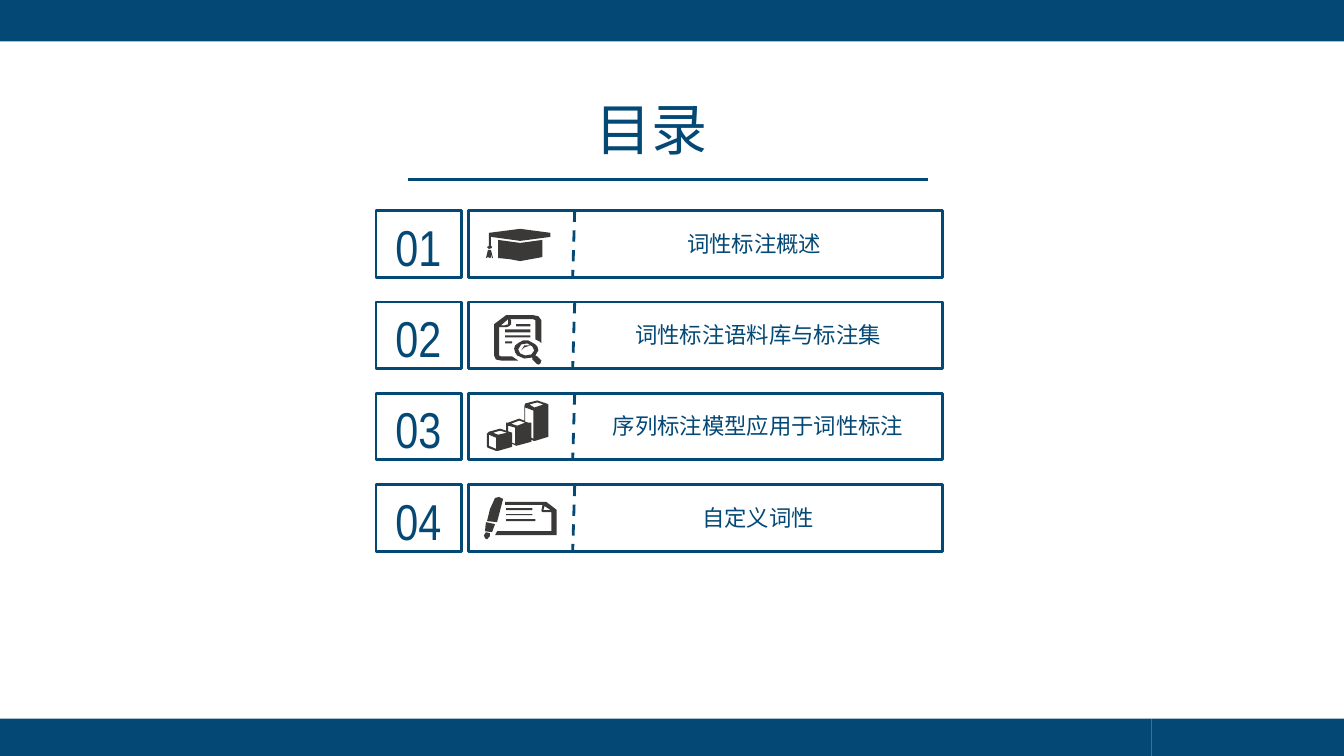
import dataclasses

import lxml.etree
import pptx
import pptx.dml.color
import pptx.enum.dml
import pptx.enum.shapes
import pptx.enum.text
import pptx.oxml.ns
import pptx.util

Inches = pptx.util.Inches
Pt = pptx.util.Pt


@dataclasses.dataclass
class Theme:
    navy: str = "044875"
    icon: str = "3B3838"
    title_size: int = 40
    number_size: int = 36
    label_size: int = 16
    line_width: int = 2
    title_font: str = "Calibri"
    number_font: str = "Arial Narrow"
    label_font: str = "Noto Sans CJK SC"


class Deck:
    """Draws styled elements on the current slide."""

    def __init__(self, prs, theme):
        self.theme = theme
        self.s = prs.slides.add_slide(prs.slide_layouts[6])

    def rgb(self, value):
        return pptx.dml.color.RGBColor.from_string(value)

    def rect(self, x, y, w, h, filled):
        sp = self.s.shapes.add_shape(
            pptx.enum.shapes.MSO_SHAPE.RECTANGLE, Inches(x), Inches(y), Inches(w), Inches(h))
        sp.shadow.inherit = False
        if filled:
            sp.fill.solid()
            sp.fill.fore_color.rgb = self.rgb(self.theme.navy)
            sp.line.fill.background()
        else:
            sp.fill.background()
            sp.line.color.rgb = self.rgb(self.theme.navy)
            sp.line.width = Pt(self.theme.line_width)

    def line(self, x1, y1, x2, y2, dashed=False):
        sp = self.s.shapes.add_connector(
            pptx.enum.shapes.MSO_CONNECTOR.STRAIGHT, Inches(x1), Inches(y1), Inches(x2), Inches(y2))
        sp.line.color.rgb = self.rgb(self.theme.navy)
        sp.line.width = Pt(self.theme.line_width)
        if dashed:
            sp.line.dash_style = pptx.enum.dml.MSO_LINE.DASH
        lxml.etree.SubElement(sp._element.spPr, pptx.oxml.ns.qn("a:effectLst"))

    def text(self, center, y, w, h, text, size, font):
        sp = self.s.shapes.add_textbox(Inches(center - w / 2), Inches(y), Inches(w), Inches(h))
        tf = sp.text_frame
        tf.word_wrap = True
        p = tf.paragraphs[0]
        p.text = text
        p.alignment = pptx.enum.text.PP_ALIGN.CENTER
        p.font.size = Pt(size)
        p.font.name = font
        p.font.color.rgb = self.rgb(self.theme.navy)
        ea = lxml.etree.SubElement(p.font._element, pptx.oxml.ns.qn("a:ea"))
        ea.set("typeface", self.theme.label_font)

    def icon(self, x, y, contours):
        builder = None
        for start, *rest in contours:
            if builder is None:
                builder = self.s.shapes.build_freeform(*start, scale=Inches(0.01))
            else:
                builder.move_to(*start)
            builder.add_line_segments(rest, close=True)
        sp = builder.convert_to_shape(Inches(x), Inches(y))
        sp.shadow.inherit = False
        sp.fill.solid()
        sp.fill.fore_color.rgb = self.rgb(self.theme.icon)
        sp.line.fill.background()


def box(left, top, right, bottom):
    return [(left, top), (right, top), (right, bottom), (left, bottom)]


CAP = [
    [(14, 47), (25, 48), (36, 50), (47, 48), (58, 46), (58, 29), (36, 32), (14, 29)],
    [(66, 22), (66, 26), (36, 30), (7, 26), (7, 35), (8, 36), (8, 37), (5, 38), (3, 36),
     (5, 35), (5, 22), (36, 18)],
    [(7, 39), (4, 39), (2, 47), (4, 46), (6, 47), (7, 46), (7, 43), (8, 47), (9, 47)],
]
SEARCH = [
    [(24, 13), (49, 13), (54, 14), (57, 18), (57, 41), (55, 39), (51, 37), (51, 18), (49, 17),
     (26, 17), (27, 18), (27, 22), (25, 24), (22, 25), (15, 25), (15, 53), (17, 54), (28, 54),
     (34, 58), (17, 58), (12, 57), (10, 53), (10, 22), (22, 13)],
    box(21, 39, 28, 41), box(21, 33, 46, 35), box(21, 27, 46, 30), box(32, 22, 46, 24),
    [(37, 48), (40, 45), (46, 43), (40, 43)],
    [(35, 40), (31, 43), (30, 46), (31, 50), (33, 53), (40, 56), (48, 55), (48, 57), (52, 61),
     (54, 62), (56, 61), (57, 58), (53, 54), (51, 53), (54, 48), (53, 44), (51, 42), (44, 38),
     (39, 38)],
    [(43, 41), (37, 42), (34, 47), (36, 51), (41, 53), (47, 52), (50, 48), (48, 44)],
    [(24, 17), (17, 23), (21, 23), (24, 22)],
]
BARS = [
    [(45, 11), (50, 14), (59, 11), (53, 9)],
    [(12, 44), (5, 41), (5, 52), (12, 55)],
    [(27, 30), (33, 32), (41, 29), (35, 27)],
    [(22, 29), (24, 29), (35, 25), (40, 27), (40, 13), (41, 10), (53, 7), (62, 10), (64, 11),
     (64, 43), (51, 47), (49, 47), (47, 46), (47, 48), (32, 52), (28, 50), (28, 53), (14, 57),
     (12, 57), (4, 54), (3, 53), (3, 40), (5, 38), (16, 35), (25, 38), (28, 39), (28, 49),
     (31, 50), (31, 34), (24, 32), (24, 38), (22, 37)],
    [(41, 28), (44, 29), (47, 29), (47, 44), (49, 45), (49, 17), (41, 14)],
    [(9, 39), (14, 41), (23, 39), (16, 37)],
]
PEN = [
    [(11, 13), (15, 12), (19, 14), (13, 37), (3, 36), (6, 24)],
    [(13, 46), (11, 50), (72, 50), (72, 25), (71, 24), (62, 17), (21, 17), (21, 20), (58, 20),
     (57, 26), (58, 27), (67, 27), (67, 46)],
    [(66, 25), (59, 25), (60, 21)],
    box(22, 34, 51, 36), box(22, 29, 48, 30), box(22, 23, 48, 25),
    [(2, 47), (6, 48), (6, 51), (3, 54), (1, 53), (0, 50)],
    [(2, 37), (1, 46), (8, 47), (11, 39)],
]
CHAPTERS = [
    ("词性标注概述", 7.48, CAP),
    ("词性标注语料库与标注集", 7.52, SEARCH),
    ("序列标注模型应用于词性标注", 7.52, BARS),
    ("自定义词性", 7.52, PEN),
]


def main():
    prs = pptx.Presentation()
    prs.slide_width, prs.slide_height = Inches(13.33), Inches(7.5)
    theme = Theme()
    deck = Deck(prs, theme)

    deck.rect(0, 0, 13.33, 0.41, True)
    deck.rect(11.42, 7.13, 1.91, 0.37, True)
    deck.rect(0, 7.13, 11.42, 0.37, True)
    deck.text(6.46, 0.89, 2.63, 0.77, "目录", theme.title_size, theme.title_font)
    deck.line(4.05, 1.78, 9.2, 1.78)

    for i, (label, center, icon) in enumerate(CHAPTERS):
        top = 2.09 + i * 2.72 / 3
        deck.rect(4.65, top, 4.7, 0.66, False)
        deck.line(5.7, top, 5.68, top + 0.66, dashed=True)
        deck.icon(4.8, top, icon)
        deck.text(center, top + 0.14, 4.53, 0.37, label, theme.label_size, theme.label_font)
        deck.rect(3.73, top, 0.85, 0.66, False)
        deck.text(4.15, top, 1.09, 0.6, f"{i + 1:02d}", theme.number_size, theme.number_font)

    prs.save("out.pptx")


if __name__ == "__main__":
    main()
